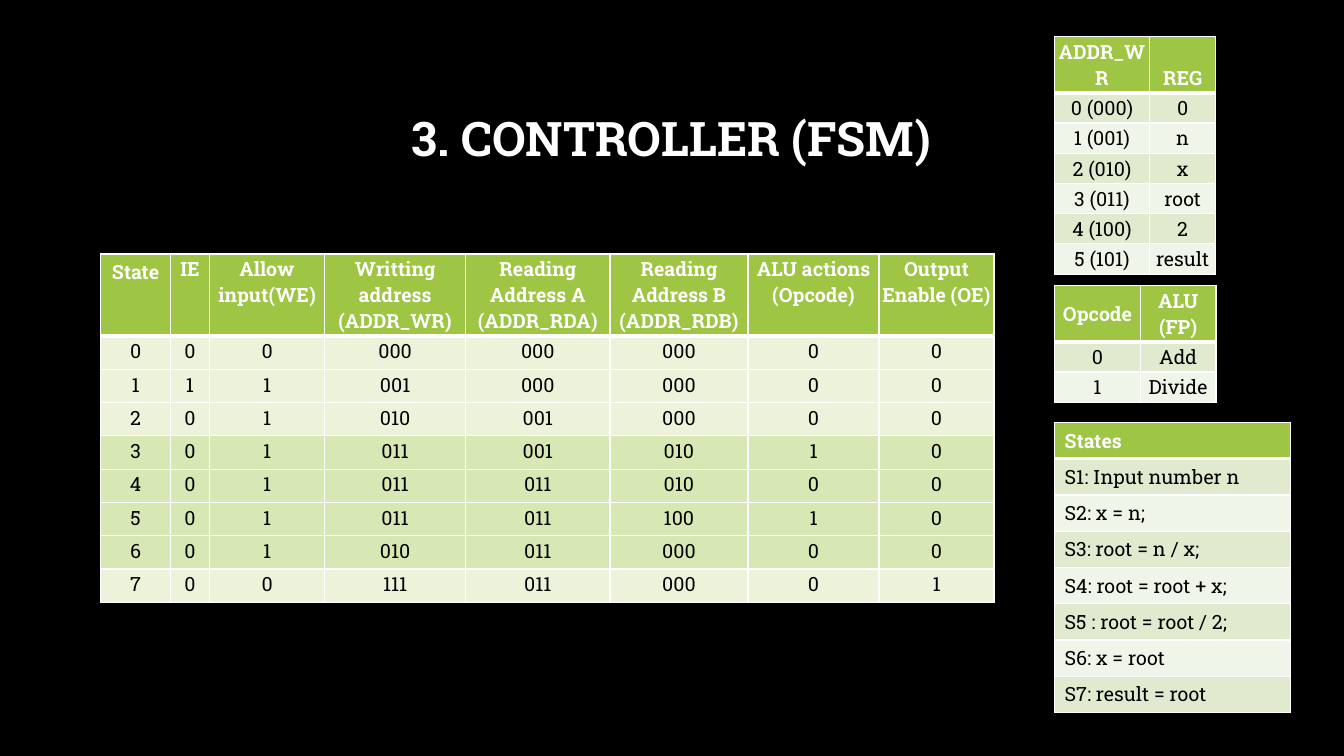
from lxml.etree import SubElement
from pptx import Presentation
from pptx.dml.color import RGBColor
from pptx.enum.text import MSO_ANCHOR, PP_ALIGN
from pptx.oxml.ns import qn
from pptx.util import Inches, Pt

BLACK = RGBColor(0x00, 0x00, 0x00)
WHITE = RGBColor(0xFF, 0xFF, 0xFF)
GREEN = RGBColor(0x9E, 0xC5, 0x44)
LIME_PALE = RGBColor(0xEC, 0xF3, 0xDA)
LIME = RGBColor(0xD8, 0xE8, 0xB4)
SAGE = RGBColor(0xDF, 0xEA, 0xCF)
SAGE_PALE = RGBColor(0xF0, 0xF5, 0xE9)

FONT = "Roboto Slab"
TITLE_FORMAT = {"name": FONT, "size": Pt(34), "bold": True}
HEADER_FORMAT = {"name": FONT, "size": Pt(14), "bold": True}
BODY_FORMAT = {"name": FONT, "size": Pt(14), "bold": False}
TIGHT = {"margin_left": Inches(0.03), "margin_right": Inches(0.03),
         "margin_top": Inches(0.02), "margin_bottom": Inches(0.02)}
ROOMY = {"margin_left": Inches(0.1), "margin_right": Inches(0.1),
         "margin_top": Inches(0.05), "margin_bottom": Inches(0.05)}


def apply(target, values):
    for name, value in values.items():
        setattr(target, name, value)


class ControllerSlide:
    def __init__(self, presentation):
        self.slide = presentation.slides.add_slide(presentation.slide_layouts[5])
        background = self.slide.background.fill
        background.solid()
        background.fore_color.rgb = BLACK

    def add_text(self, frame, text, font_format, color, align):
        paragraph = frame.paragraphs[0]
        paragraph.alignment = align
        run = paragraph.add_run()
        run.text = text
        apply(run.font, font_format)
        run.font.color.rgb = color
        return paragraph

    def title(self, text, left, top, width, height):
        heading = self.slide.shapes.title
        apply(heading, {"left": Inches(left), "top": Inches(top),
                        "width": Inches(width), "height": Inches(height)})
        apply(heading.text_frame, {"vertical_anchor": MSO_ANCHOR.MIDDLE, "word_wrap": True})
        paragraph = self.add_text(heading.text_frame, text, TITLE_FORMAT, WHITE, PP_ALIGN.CENTER)
        paragraph.line_spacing = 0.9

    def borders(self, cell, row):
        # The rule between header and body is thicker than the others
        widths = {"a:lnL": 1, "a:lnR": 1,
                  "a:lnT": 3 if row == 1 else 1, "a:lnB": 3 if row == 0 else 1}
        properties = cell._tc.get_or_add_tcPr()
        for side, points in widths.items():
            line = SubElement(properties, qn(side), w=str(Pt(points)))
            SubElement(SubElement(line, qn("a:solidFill")), qn("a:srgbClr"), val=str(WHITE))

    def table(self, rows, left, top, widths, heights, fills,
              margins=TIGHT, align=PP_ALIGN.CENTER, anchor=MSO_ANCHOR.TOP):
        header_height, row_height = heights
        total = header_height + row_height * (len(rows) - 1)
        table = self.slide.shapes.add_table(
            len(rows), len(widths), Inches(left), Inches(top),
            Inches(sum(widths)), Inches(total)).table
        for column, width in zip(table.columns, widths):
            column.width = Inches(width)
        for r, values in enumerate(rows):
            table.rows[r].height = Inches(row_height if r else header_height)
            for c, value in enumerate(values):
                cell = table.cell(r, c)
                apply(cell, margins | {"vertical_anchor": anchor})
                self.borders(cell, r)
                cell.fill.solid()
                cell.fill.fore_color.rgb = fills[r - 1] if r else GREEN
                self.add_text(cell.text_frame, value, BODY_FORMAT if r else HEADER_FORMAT,
                              BLACK if r else WHITE, align)
        return table


def main():
    presentation = Presentation()
    presentation.slide_width = Inches(13.33)
    presentation.slide_height = Inches(7.5)
    controller = ControllerSlide(presentation)
    controller.title("3. CONTROLLER (FSM)", 1, 0.67, 11.32, 1.45)

    # Control signals in each state; the loop states are darker
    signals = [
        ("State", "IE", "Allow input(WE)", "Writting address (ADDR_WR)",
         "Reading Address A (ADDR_RDA)", "Reading Address B (ADDR_RDB)",
         "ALU actions (Opcode)", "Output Enable (OE)"),
        ("0", "0", "0", "000", "000", "000", "0", "0"),
        ("1", "1", "1", "001", "000", "000", "0", "0"),
        ("2", "0", "1", "010", "001", "000", "0", "0"),
        ("3", "0", "1", "011", "001", "010", "1", "0"),
        ("4", "0", "1", "011", "011", "010", "0", "0"),
        ("5", "0", "1", "011", "011", "100", "1", "0"),
        ("6", "0", "1", "010", "011", "000", "0", "0"),
        ("7", "0", "0", "111", "011", "000", "0", "1"),
    ]
    signal_table = controller.table(
        signals, 1, 2.52, [0.69, 0.39, 1.14, 1.4, 1.43, 1.37, 1.3, 1.14],
        (0.81, 0.33), [LIME_PALE] * 3 + [LIME] * 4 + [LIME_PALE])
    apply(signal_table.cell(0, 0), ROOMY)

    # Register addresses
    banding = [SAGE, SAGE_PALE] * 4
    registers = [("ADDR_WR", "REG")] + [
        (f"{address} ({address:03b})", register)
        for address, register in enumerate(["0", "n", "x", "root", "2", "result"])]
    controller.table(registers, 10.46, 0.36, [0.94, 0.66], (0.56, 0.3), banding,
                     anchor=MSO_ANCHOR.BOTTOM)

    # Operation codes
    opcodes = [("Opcode", "ALU (FP)"), ("0", "Add"), ("1", "Divide")]
    opcode_table = controller.table(opcodes, 10.46, 2.83, [0.85, 0.75], (0.56, 0.3),
                                    banding, anchor=MSO_ANCHOR.BOTTOM)
    opcode_table.cell(0, 0).vertical_anchor = MSO_ANCHOR.MIDDLE

    # Meaning of the states
    states = ["States", "S1: Input number n", "S2: x = n;", "S3: root = n / x;",
              "S4: root = root + x;", "S5 : root = root / 2;", "S6: x = root",
              "S7: result = root"]
    controller.table([(state,) for state in states], 10.46, 4.19, [2.34], (0.36, 0.36),
                     banding, margins=ROOMY, align=PP_ALIGN.LEFT)

    presentation.save("out.pptx")


if __name__ == "__main__":
    main()
